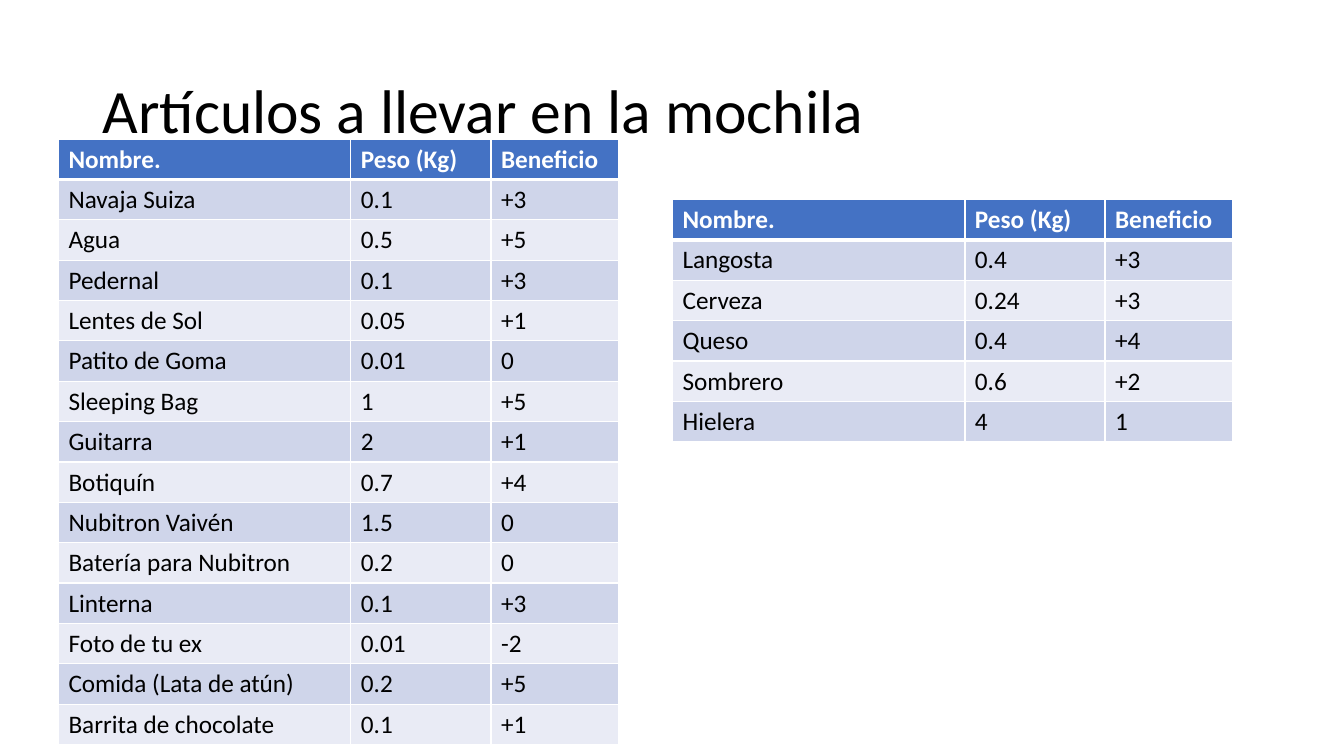
from dataclasses import dataclass
from lxml.etree import SubElement as Sub
from pptx import Presentation
from pptx.dml.color import RGBColor as RGB
from pptx.enum.text import MSO_ANCHOR as Anchor
from pptx.oxml.ns import qn
from pptx.slide import Slide
from pptx.util import Inches, Pt

BLACK = RGB(0, 0, 0)
WHITE = RGB(255, 255, 255)
BLUE = RGB(0x44, 0x72, 0xC4)
BANDS = RGB(0xE9, 0xEB, 0xF5), RGB(0xCF, 0xD5, 0xEA)

HEAD = "Nombre.", "Peso (Kg)", "Beneficio"
WIDTHS = 2.9, 1.39, 1.27
GEAR = [
    ("Navaja Suiza", "0.1", "+3"),
    ("Agua", "0.5", "+5"),
    ("Pedernal", "0.1", "+3"),
    ("Lentes de Sol", "0.05", "+1"),
    ("Patito de Goma", "0.01", "0"),
    ("Sleeping Bag", "1", "+5"),
    ("Guitarra", "2", "+1"),
    ("Botiquín", "0.7", "+4"),
    ("Nubitron Vaivén", "1.5", "0"),
    ("Batería para Nubitron", "0.2", "0"),
    ("Linterna", "0.1", "+3"),
    ("Foto de tu ex", "0.01", "-2"),
    ("Comida (Lata de atún)", "0.2", "+5"),
    ("Barrita de chocolate", "0.1", "+1"),
]
EXTRAS = [
    ("Langosta", "0.4", "+3"),
    ("Cerveza", "0.24", "+3"),
    ("Queso", "0.4", "+4"),
    ("Sombrero", "0.6", "+2"),
    ("Hielera", "4", "1"),
]


def write(frame, text, font="Calibri", size=18, color=BLACK, bold=False, space=None):
    """Put formatted text into a text frame."""
    para = frame.paragraphs[0]
    para.line_spacing = space
    run = para.add_run()
    run.text = text
    run.font.name = font
    run.font.size = Pt(size)
    run.font.bold = bold
    run.font.color.rgb = color


@dataclass
class Deck:
    """Hold the style and the current slide."""

    slide: Slide
    font: str = "Calibri"
    row: float = 0.4

    def title(self, text, left, top, width, height):
        """Add the slide heading."""
        box = self.slide.shapes.add_textbox(*map(Inches, (left, top, width, height)))
        frame = box.text_frame
        frame.word_wrap = True
        frame.vertical_anchor = Anchor.MIDDLE
        write(frame, text, font=self.font, size=44, space=0.9)

    def border(self, cell, **sides):
        """Draw white cell edges with the given widths in points."""
        props = cell._tc.get_or_add_tcPr()
        for side, width in sides.items():
            line = Sub(props, qn(f"a:ln{side}"), w=str(Pt(width)))
            fill = Sub(line, qn("a:solidFill"))
            Sub(fill, qn("a:srgbClr"), val=str(WHITE))

    def table(self, items, left, top):
        """Add a banded table of items under the shared header."""
        rows = [HEAD, *items]
        size = sum(WIDTHS), self.row * len(rows)
        shape = self.slide.shapes.add_table(
            len(rows), len(HEAD), *map(Inches, (left, top, *size)))
        grid = shape.table
        for col, width in zip(grid.columns, WIDTHS):
            col.width = Inches(width)
        for r, values in enumerate(rows):
            head = r == 0
            for c, text in enumerate(values):
                cell = grid.cell(r, c)
                self.border(cell, L=1, R=1, T=3 if r == 1 else 1, B=3 if head else 1)
                cell.fill.solid()
                cell.fill.fore_color.rgb = BLUE if head else BANDS[r % 2]
                write(cell.text_frame, text, font=self.font,
                      color=WHITE if head else BLACK, bold=head)


show = Presentation()
show.slide_width, show.slide_height = Inches(13.33), Inches(7.5)
deck = Deck(show.slides.add_slide(show.slide_layouts[6]))
deck.title("Artículos a llevar en la mochila", 0.92, 0.4, 11.5, 1.45)
deck.table(GEAR, 0.58, 1.38)
deck.table(EXTRAS, 6.67, 1.98)
show.save("out.pptx")
